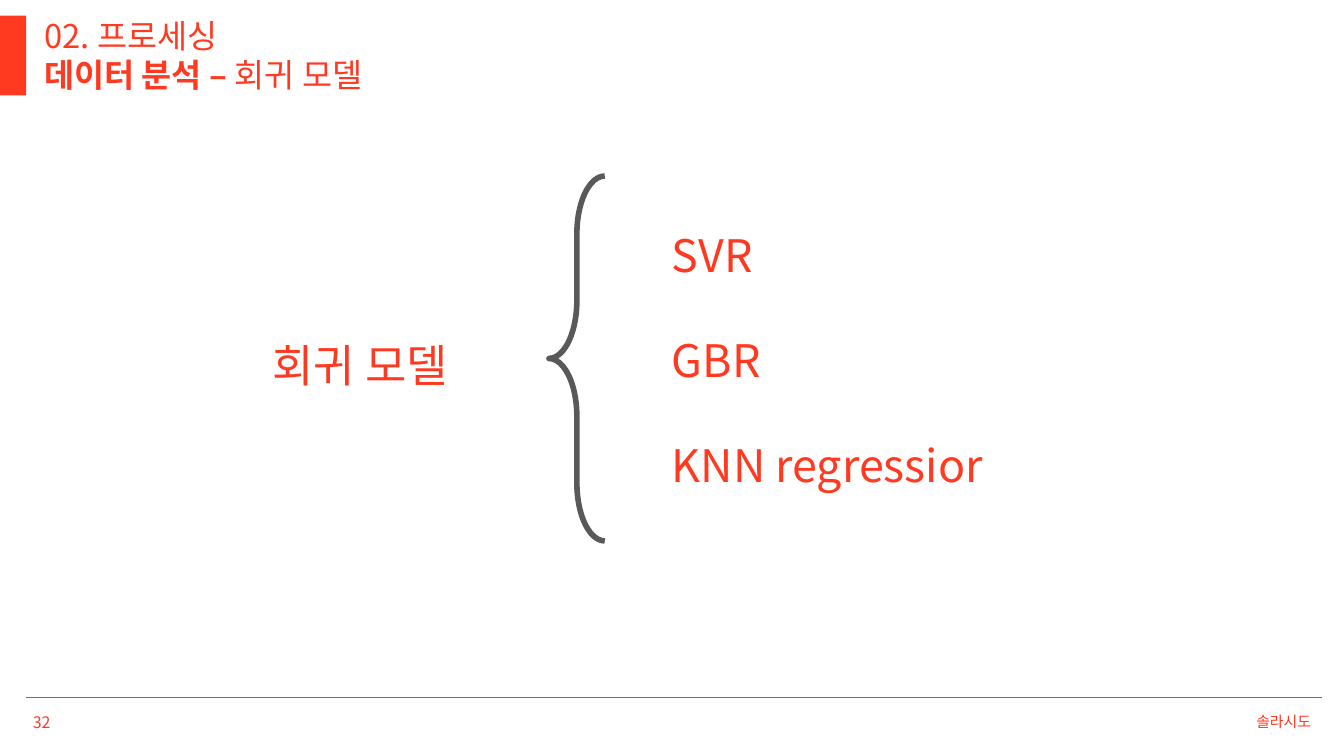
from lxml import etree
from pptx import Presentation
from pptx.dml.color import RGBColor
from pptx.enum.shapes import MSO_CONNECTOR, MSO_SHAPE
from pptx.enum.text import MSO_ANCHOR, PP_ALIGN
from pptx.oxml.ns import qn
from pptx.util import Pt

RECT, BRACE = MSO_SHAPE.RECTANGLE, MSO_SHAPE.LEFT_BRACE
STRAIGHT = MSO_CONNECTOR.STRAIGHT
TOP, MIDDLE = MSO_ANCHOR.TOP, MSO_ANCHOR.MIDDLE
LEFT, RIGHT = PP_ALIGN.LEFT, PP_ALIGN.RIGHT

FONT = "Noto Sans CJK KR"
COLORS = {"accent": "FF3A21", "text": "FF3921", "brace": "595959"}


def rgb(name):
    return RGBColor.from_string(COLORS[name])


def add_text(s, box, runs, size, spacing=None, align=LEFT, anchor=TOP, inset=(0, 0)):
    """Add one line of text; runs are (text, bold, colour name)."""
    sp = s.shapes.add_textbox(*map(Pt, box))
    tf = sp.text_frame
    side, top = map(Pt, inset)
    frame = {"word_wrap": True, "vertical_anchor": anchor,
             "margin_left": side, "margin_right": side,
             "margin_top": top, "margin_bottom": top}
    for key, value in frame.items():
        setattr(tf, key, value)
    p = tf.paragraphs[0]
    p.alignment = align
    if spacing:
        p.line_spacing = Pt(spacing)
    for text, bold, color in runs:
        r = p.add_run()
        r.text = text
        for key, value in {"name": FONT, "size": Pt(size), "bold": bold}.items():
            setattr(r.font, key, value)
        r.font.color.rgb = rgb(color)
        ea = etree.SubElement(r.font._element, qn("a:ea"))
        ea.set("typeface", FONT)


def add_bar(s, box):
    sp = s.shapes.add_shape(RECT, *map(Pt, box))
    sp.shadow.inherit = False
    sp.fill.solid()
    sp.fill.fore_color.rgb = rgb("accent")
    sp.line.fill.background()


def add_brace(s, box):
    sp = s.shapes.add_shape(BRACE, *map(Pt, box))
    sp.shadow.inherit = False
    sp.adjustments[0] = 1.04
    sp.adjustments[1] = 0.5
    sp.fill.background()
    sp.line.color.rgb = rgb("brace")
    sp.line.width = Pt(6)


def add_rule(s, left, right, y):
    line = s.shapes.add_connector(STRAIGHT, Pt(left), Pt(y), Pt(right), Pt(y))
    line.line.color.rgb = rgb("accent")
    line.line.width = Pt(1.5)
    etree.SubElement(line._element.spPr, qn("a:effectLst"))


def main():
    prs = Presentation()
    prs.slide_width, prs.slide_height = Pt(1440), Pt(810)
    s = prs.slides.add_slide(prs.slide_layouts[6])

    # Header
    add_bar(s, (0, 16.6, 28, 85.7))
    add_text(s, (47.5, 16.6, 792, 44), [("02. 프로세싱", False, "accent")], 35, 42)
    add_text(s, (47.5, 58.3, 892, 42.5),
             [("데이터 분석 – ", True, "accent"), ("회귀 모델", False, "text")], 35, 42)

    # Footer
    add_rule(s, 28, 1416, 747.4)
    footer = {"anchor": MIDDLE, "inset": (7.2, 3.6)}
    add_text(s, (28, 759, 168, 28.8), [("32", False, "text")], 17, **footer)
    add_text(s, (1183.7, 759, 228.2, 28.8), [("솔라시도", False, "text")], 16,
             align=RIGHT, **footer)

    # Regression models grouped by a brace
    add_text(s, (292.3, 378.7, 203.8, 44.6), [("회귀 모델", False, "text")], 48, 40.6)
    add_brace(s, (588.2, 188.6, 59.8, 391))
    models = [("SVR", "text", 40.6), ("GBR", "accent", 39.2),
              ("KNN regressior", "accent", 39.2)]
    for i, (name, color, spacing) in enumerate(models):
        add_text(s, (720, 261.5 + 113 * i, 396, 44), [(name, False, color)], 48, spacing)

    prs.save("out.pptx")


if __name__ == "__main__":
    main()
